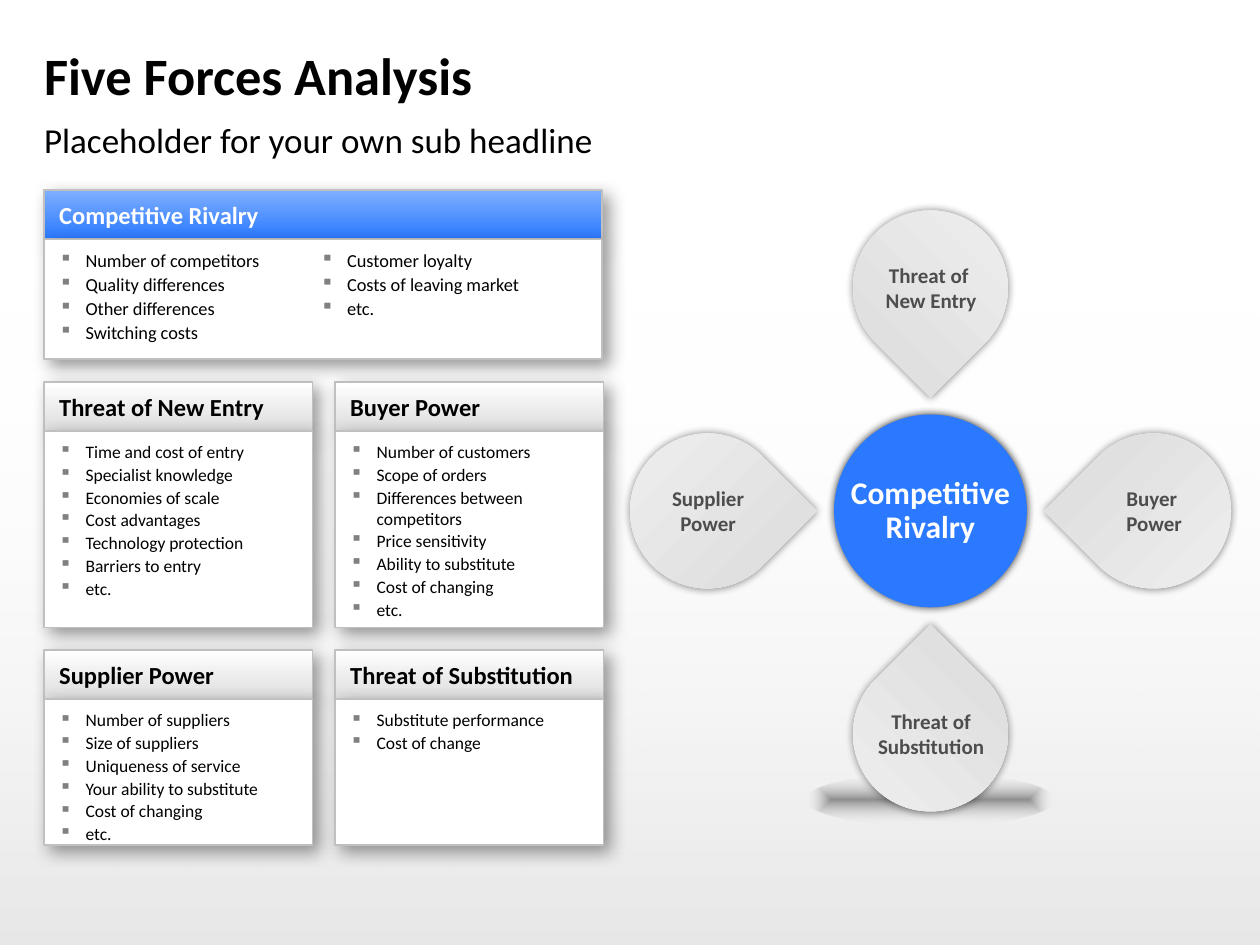
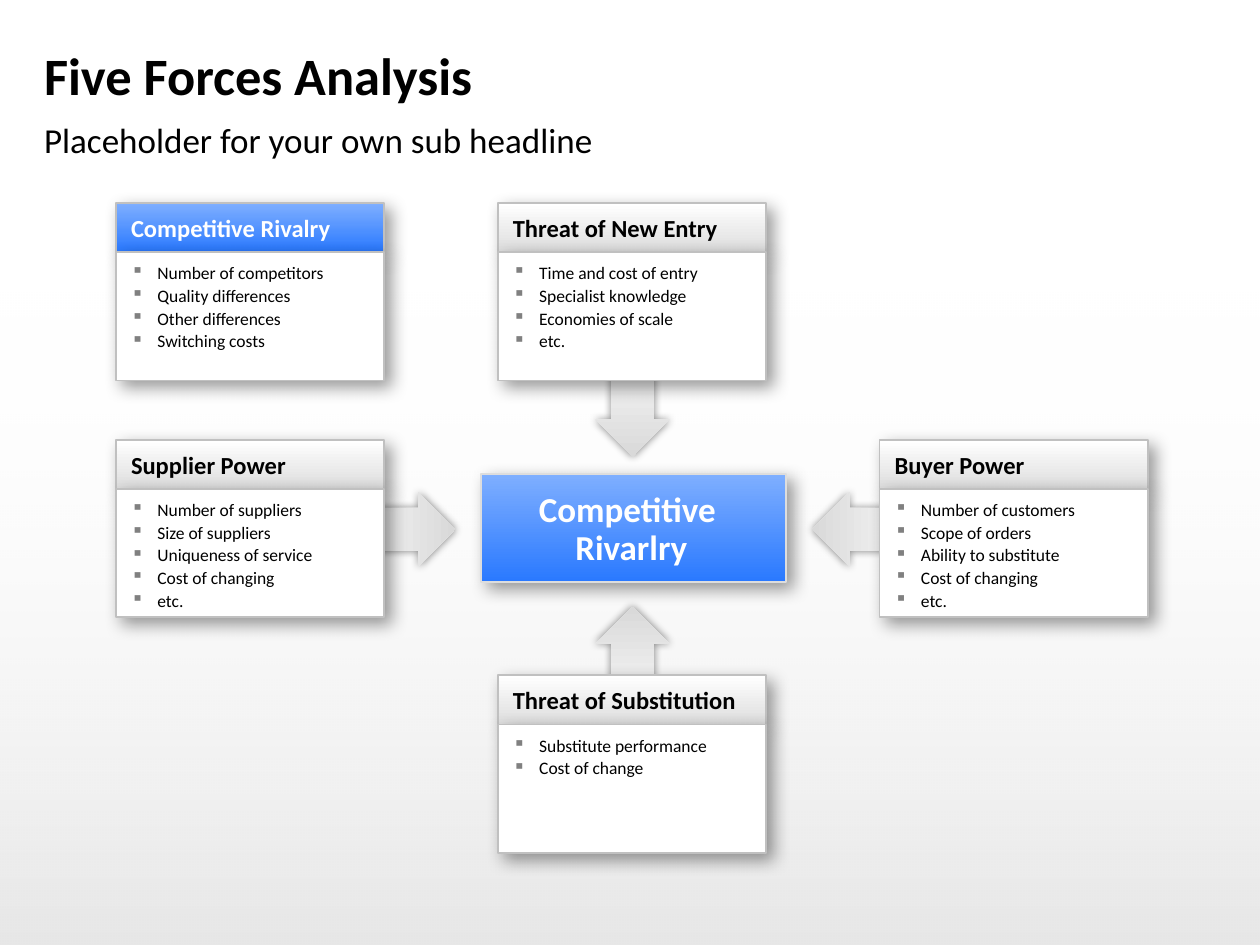
"""Build two Five Forces Analysis slides."""
from dataclasses import dataclass

from lxml import etree
from pptx import Presentation
from pptx.dml.color import RGBColor
from pptx.enum.shapes import MSO_SHAPE
from pptx.enum.text import MSO_ANCHOR, PP_ALIGN
from pptx.oxml import parse_xml
from pptx.oxml.ns import nsdecls, qn
from pptx.shapes.autoshape import Shape
from pptx.slide import Slide
from pptx.text.text import _Paragraph
from pptx.util import Inches, Pt

RECTANGLE, ELLIPSE = MSO_SHAPE.RECTANGLE, MSO_SHAPE.OVAL
TEARDROP, ARROW = MSO_SHAPE.TEAR, MSO_SHAPE.RIGHT_ARROW
TOP, MIDDLE = MSO_ANCHOR.TOP, MSO_ANCHOR.MIDDLE
LEFT, CENTER = PP_ALIGN.LEFT, PP_ALIGN.CENTER

FONT = "Calibri"
BLACK, WHITE, BLUE = "000000", "FFFFFF", "2A79FF"
BORDER, LABEL_GRAY, BULLET_GRAY = "C0C0C0", "4D4D4D", "808080"
HEADER_HEIGHT, CARD_WIDTH = 0.39, 2.13
DROP_SIZE, DROP_DISTANCE = 1.23, 1.77
ARROW_WIDTH, ARROW_HEIGHT = 0.67, 0.59
WHEEL_X, WHEEL_Y = 7.385, 4.055


@dataclass(frozen=True)
class Gradient:
    """Two colours with their opacity, and a linear angle or a shape path."""
    start: str
    end: str
    angle: int = 0
    start_alpha: int = 100
    end_alpha: int = 100
    centered: bool = False


@dataclass(frozen=True)
class Shadow:
    """An outer shadow in points, degrees and per cent."""
    alpha: int
    blur: int
    distance: int = 0
    angle: int = 0


@dataclass(frozen=True)
class TextStyle:
    """Character and paragraph settings of a text."""
    size: float
    color: str
    bold: bool = True
    align: PP_ALIGN = LEFT
    line_spacing: float | None = None
    space_before: float = 0


@dataclass(frozen=True)
class Card:
    """A headed box with a bulleted list."""
    title: str
    left: float
    top: float
    body_height: float
    items: tuple[str, ...]
    width: float = CARD_WIDTH
    main: bool = False
    columns: int = 1
    size: float = 10


@dataclass(frozen=True)
class Drop:
    """A teardrop pointing at the wheel centre from one direction."""
    text: str
    across: int
    down: int
    rotation: int


@dataclass(frozen=True)
class Arrow:
    """A block arrow given by its centre and rotation."""
    center_x: float
    center_y: float
    rotation: int


BLUE_FILL = Gradient("7FAFFF", BLUE, 90)
HEADER_FILL = Gradient(WHITE, "DDDDDD", 90)
GRAY_FILL = Gradient("F2F2F2", "D9D9D9")
PAGE_FILL = Gradient(BLACK, WHITE, 270, 10, 0)
FLOOR_FILL = Gradient(BLACK, WHITE, 0, 40, 0, True)
CARD_SHADOW, GRAY_SHADOW, WHEEL_SHADOW = Shadow(40, 10, 5, 45), Shadow(47, 5), Shadow(79, 5)

TITLE_STYLE = TextStyle(30, BLACK)
SUBTITLE_STYLE = TextStyle(20, BLACK, False, space_before=4.3)
LABEL_STYLE = TextStyle(12, LABEL_GRAY, align=CENTER)
NO_INSETS = (0, 0, 0, 0)
LABEL_INSETS = (0.1, 0.05, 0.1, 0.05)
HEADER_INSETS = (0.12, 0.08, 0.12, 0.08)
BODY_INSETS = (0.12, 0.08, 0.16, 0.08)

RIVALRY, ENTRY, BUYER = "Competitive Rivalry", "Threat of New Entry", "Buyer Power"
SUPPLIER, SUBSTITUTION = "Supplier Power", "Threat of Substitution"
RIVALRY_ITEMS = ("Number of competitors", "Quality differences", "Other differences", "Switching costs")
ENTRY_ITEMS = ("Time and cost of entry", "Specialist knowledge", "Economies of scale")
BUYER_ITEMS = ("Number of customers", "Scope of orders")
SUPPLIER_ITEMS = ("Number of suppliers", "Size of suppliers", "Uniqueness of service")
SUBSTITUTION_ITEMS = ("Substitute performance", "Cost of change")
CHANGING = ("Cost of changing", "etc.")

LIST_LEFT, LIST_RIGHT = 0.35, 2.66
LIST_CARDS = (
    Card(SUPPLIER, LIST_LEFT, 5.16, 1.16, SUPPLIER_ITEMS + ("Your ability to substitute",) + CHANGING),
    Card(SUBSTITUTION, LIST_RIGHT, 5.16, 1.16, SUBSTITUTION_ITEMS),
    Card(ENTRY, LIST_LEFT, 3.03, 1.56,
         ENTRY_ITEMS + ("Cost advantages", "Technology protection", "Barriers to entry", "etc.")),
    Card(BUYER, LIST_RIGHT, 3.03, 1.56,
         BUYER_ITEMS + ("Differences between competitors", "Price sensitivity",
                        "Ability to substitute") + CHANGING),
    Card(RIVALRY, LIST_LEFT, 1.51, 0.95,
         RIVALRY_ITEMS + ("Customer loyalty", "Costs of leaving market", "etc."),
         4.43, True, 2, 10.5),
)
DROPS = (
    Drop("Threat of \nNew Entry", 0, -1, 135),
    Drop(SUBSTITUTION, 0, 1, 315),
    Drop(SUPPLIER, -1, 0, 45),
    Drop("Buyer \nPower", 1, 0, 225),
)
MAP_CARDS = (
    Card(SUBSTITUTION, 3.95, 5.36, 1.02, SUBSTITUTION_ITEMS),
    Card(ENTRY, 3.95, 1.61, 1.02, ENTRY_ITEMS + ("etc.",)),
    Card(RIVALRY, 0.92, 1.61, 1.02, RIVALRY_ITEMS, main=True),
    Card(SUPPLIER, 0.92, 3.49, 1.02, SUPPLIER_ITEMS + CHANGING),
    Card(BUYER, 6.98, 3.49, 1.02, BUYER_ITEMS + ("Ability to substitute",) + CHANGING),
)
ARROWS = (Arrow(5.02, 5.15, 270), Arrow(5.02, 3.29, 90), Arrow(3.28, 4.2, 0), Arrow(6.78, 4.2, 180))


def color_of(value: str) -> RGBColor:
    """Turn a hex string into a colour."""
    return RGBColor.from_string(value)


def paint_gradient(shape: Shape, gradient: Gradient) -> None:
    """Fill a shape with a two-stop gradient."""
    stops = "".join(
        f'<a:gs pos="{position}"><a:srgbClr val="{color}"><a:alpha val="{alpha * 1000}"/></a:srgbClr></a:gs>'
        for position, color, alpha in ((0, gradient.start, gradient.start_alpha),
                                       (100000, gradient.end, gradient.end_alpha)))
    if gradient.centered:
        course = '<a:path path="shape"><a:fillToRect l="50000" t="50000" r="50000" b="50000"/></a:path>'
    else:
        course = f'<a:lin ang="{gradient.angle * 60000}" scaled="0"/>'
    shape.fill.background()
    properties = shape.element.spPr
    properties.replace(properties.find(qn("a:noFill")), parse_xml(
        f'<a:gradFill {nsdecls("a")} rotWithShape="1"><a:gsLst>{stops}</a:gsLst>{course}</a:gradFill>'))


def cast_shadow(shape: Shape, shadow: Shadow) -> None:
    """Give a shape an outer black shadow."""
    effects = shape.element.spPr.find(qn("a:effectLst"))
    effects.append(parse_xml(
        f'<a:outerShdw {nsdecls("a")} blurRad="{Pt(shadow.blur)}" dist="{Pt(shadow.distance)}" '
        f'dir="{shadow.angle * 60000}" algn="ctr" rotWithShape="0"><a:srgbClr val="{BLACK}">'
        f'<a:alpha val="{shadow.alpha * 1000}"/></a:srgbClr></a:outerShdw>'))


def add_box(page: Slide, kind: MSO_SHAPE, left: float, top: float, width: float, height: float,
            fill: Gradient | str, shadow: Shadow | None = None, line: str | None = None) -> Shape:
    """Draw a preset shape."""
    box = page.shapes.add_shape(kind, Inches(left), Inches(top), Inches(width), Inches(height))
    box.shadow.inherit = False
    if isinstance(fill, Gradient):
        paint_gradient(box, fill)
    else:
        box.fill.solid()
        box.fill.fore_color.rgb = color_of(fill)
    if line:
        box.line.color.rgb = color_of(line)
        box.line.width = Pt(1)
    else:
        box.line.fill.background()
    if shadow:
        cast_shadow(box, shadow)
    return box


def write(box: Shape, texts: tuple[str, ...], style: TextStyle, insets: tuple[float, ...],
          anchor: MSO_ANCHOR = MIDDLE, wrap: bool = True) -> None:
    """Write one paragraph for each text, breaking lines at newlines."""
    frame = box.text_frame
    frame.word_wrap = wrap
    frame.vertical_anchor = anchor
    frame.margin_left, frame.margin_top, frame.margin_right, frame.margin_bottom = map(Inches, insets)
    for number, text in enumerate(texts):
        para = frame.add_paragraph() if number else frame.paragraphs[0]
        para.alignment = style.align
        para.space_before = Pt(style.space_before)
        if style.line_spacing:
            para.line_spacing = style.line_spacing
        for row, words in enumerate(text.split("\n")):
            if row:
                para.add_line_break()
            span = para.add_run()
            span.text = words
            span.font.name = FONT
            span.font.size = Pt(style.size)
            span.font.bold = style.bold
            span.font.color.rgb = color_of(style.color)


def add_label(page: Slide, left: float, top: float, width: float, height: float, text: str,
              style: TextStyle, insets: tuple[float, ...], anchor: MSO_ANCHOR = MIDDLE) -> None:
    """Place a text box."""
    box = page.shapes.add_textbox(Inches(left), Inches(top), Inches(width), Inches(height))
    write(box, (text,), style, insets, anchor)


def add_bullet(para: _Paragraph) -> None:
    """Hang a paragraph from a square bullet."""
    para.space_after = Pt(1)
    properties = para._p.get_or_add_pPr()
    properties.set("marL", str(Inches(0.21)))
    properties.set("indent", str(-Inches(0.21)))
    color = etree.SubElement(properties, qn("a:buClr"))
    etree.SubElement(color, qn("a:srgbClr"), val=BULLET_GRAY)
    etree.SubElement(properties, qn("a:buChar"), char="▪")


def add_card(page: Slide, card: Card) -> None:
    """Draw a card with its header and list."""
    header = add_box(page, RECTANGLE, card.left, card.top, card.width, HEADER_HEIGHT,
                     BLUE_FILL if card.main else HEADER_FILL, CARD_SHADOW, BORDER)
    write(header, (card.title,), TextStyle(14, WHITE if card.main else BLACK), HEADER_INSETS)
    body = add_box(page, RECTANGLE, card.left, card.top + HEADER_HEIGHT, card.width,
                   card.body_height, WHITE, CARD_SHADOW, BORDER)
    write(body, card.items, TextStyle(card.size, BLACK, False), BODY_INSETS, TOP)
    if card.columns > 1:
        body.text_frame._txBody.bodyPr.set("numCol", str(card.columns))
    for para in body.text_frame.paragraphs:
        add_bullet(para)


def add_drop(page: Slide, drop: Drop) -> None:
    """Draw a teardrop with its label."""
    left = WHEEL_X + drop.across * DROP_DISTANCE - DROP_SIZE / 2
    center_y = WHEEL_Y + drop.down * DROP_DISTANCE
    shape = add_box(page, TEARDROP, left, center_y - DROP_SIZE / 2, DROP_SIZE, DROP_SIZE,
                    GRAY_FILL, GRAY_SHADOW)
    shape.rotation = drop.rotation
    add_label(page, left, center_y - 0.25, 1.24, 0.5, drop.text, LABEL_STYLE, LABEL_INSETS)


def add_arrow(page: Slide, arrow: Arrow) -> None:
    """Draw a block arrow."""
    shape = add_box(page, ARROW, arrow.center_x - ARROW_WIDTH / 2, arrow.center_y - ARROW_HEIGHT / 2,
                    ARROW_WIDTH, ARROW_HEIGHT, GRAY_FILL, GRAY_SHADOW)
    shape.adjustments[0] = 0.574
    shape.rotation = arrow.rotation


def add_page(deck: Presentation) -> Slide:
    """Add a page with the shared background and headings."""
    page = deck.slides.add_slide(deck.slide_layouts[6])
    add_box(page, RECTANGLE, 0, 2.21, 10, 5.29, PAGE_FILL)
    add_label(page, 0.35, 0.26, 9.29, 0.67, "Five Forces Analysis", TITLE_STYLE, NO_INSETS)
    add_label(page, 0.35, 0.94, 9.29, 0.37, "Placeholder for your own sub headline",
              SUBTITLE_STYLE, NO_INSETS, TOP)
    return page


def build_wheel_page(deck: Presentation) -> None:
    """Build the page with lists and the wheel of forces."""
    page = add_page(deck)
    add_box(page, ELLIPSE, 6.39, 6.14, 1.98, 0.41, FLOOR_FILL)
    hub = add_box(page, ELLIPSE, 6.62, 3.29, 1.53, 1.53, BLUE, WHEEL_SHADOW)
    write(hub, ("Competitive\nRivalry",), TextStyle(18, WHITE, align=CENTER, line_spacing=0.9),
          (0, 0.05, 0, 0.05), wrap=False)
    for drop in DROPS:
        add_drop(page, drop)
    for card in LIST_CARDS:
        add_card(page, card)


def build_map_page(deck: Presentation) -> None:
    """Build the page with cards pointing at the central force."""
    page = add_page(deck)
    for arrow in ARROWS:
        add_arrow(page, arrow)
    for card in MAP_CARDS:
        add_card(page, card)
    hub = add_box(page, RECTANGLE, 3.82, 3.76, 2.42, 0.86, BLUE_FILL, CARD_SHADOW, "DDDDDD")
    write(hub, ("Competitive \nRivarlry",), TextStyle(20, WHITE, align=CENTER, line_spacing=0.9),
          (0.12, 0.12, 0.16, 0.08))


def main() -> None:
    """Build and save the deck."""
    deck = Presentation()
    deck.slide_width, deck.slide_height = Inches(10), Inches(7.5)
    build_wheel_page(deck)
    build_map_page(deck)
    deck.save("out.pptx")


if __name__ == "__main__":
    main()
